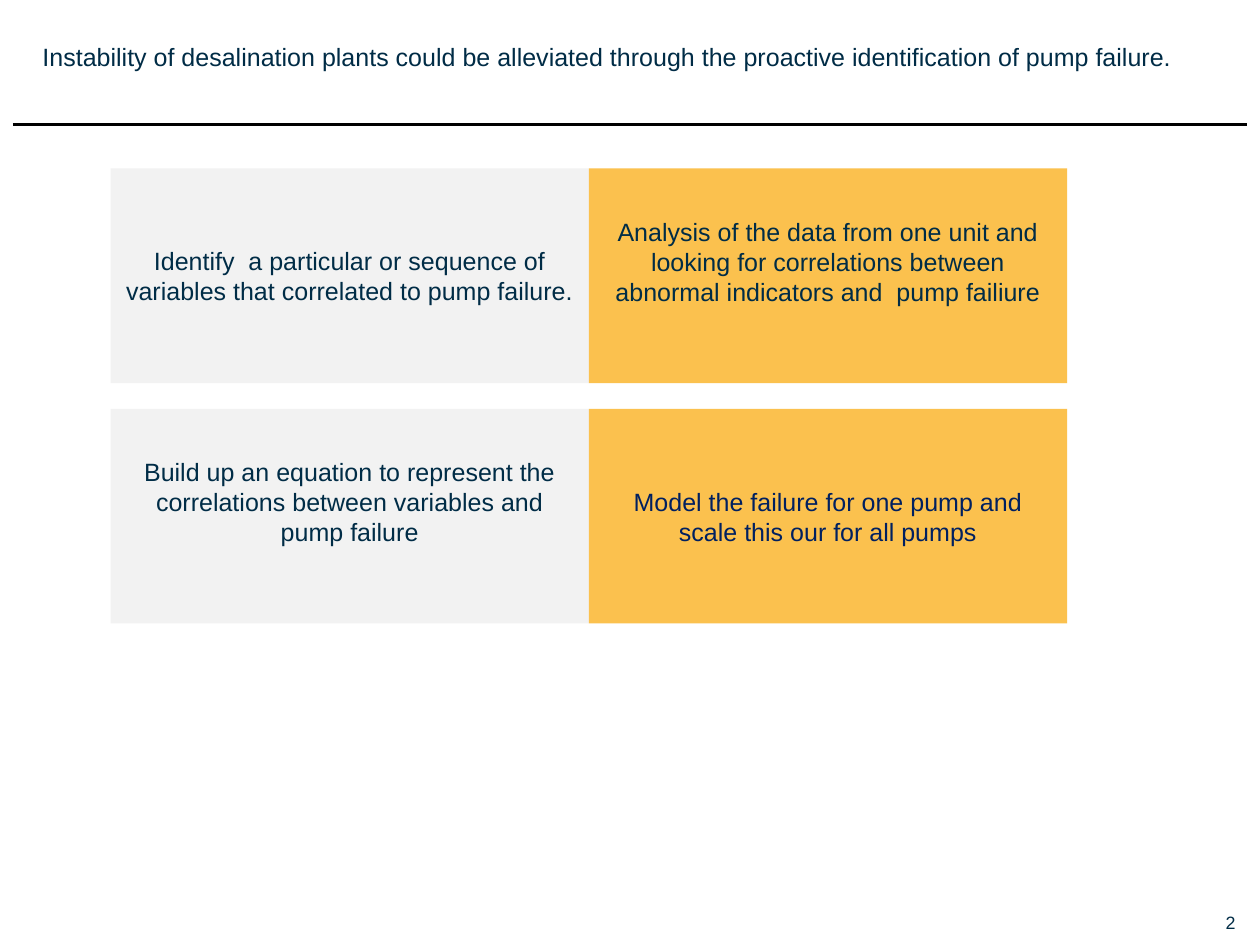
from dataclasses import dataclass

from pptx import Presentation
from pptx import util as u
from pptx.dml.color import RGBColor
from pptx.enum import shapes, text
from pptx.oxml.ns import qn
from lxml import etree


@dataclass(frozen=True)
class Theme:
    font: str = "Arial"
    ink: str = "002C46"
    navy: str = "002060"
    rule: str = "000000"
    grey: str = "F2F2F2"
    amber: str = "FBC14E"
    body_size: int = 14
    number_size: int = 10


THEME = Theme()

# Grid of steps
GRID_LEFT, GRID_TOP = 0.86, 1.31
BOX_WIDTH, BOX_HEIGHT, ROW_GAP = 3.72, 1.67, 0.2
COLUMN_FILLS = (THEME.grey, THEME.amber)
MARGIN, RAISED_MARGIN = 0.05, 0.27

# Wording, text colour and bottom margin of each step, row by row
STEPS = [
    [("Identify  a particular or sequence of variables that correlated to pump failure.",
      THEME.ink, MARGIN),
     ("Analysis of the data from one unit and looking for correlations between "
      "abnormal indicators and  pump failiure", THEME.ink, RAISED_MARGIN)],
    [("Build up an equation to represent the correlations between variables and "
      "pump failure", THEME.ink, RAISED_MARGIN),
     ("Model the failure for one pump and scale this our for all pumps",
      THEME.navy, MARGIN)],
]


def write_text(shape, wording, *, size=THEME.body_size, color=THEME.ink,
               align=text.PP_ALIGN.LEFT, margins=(0.1, MARGIN, 0.1, MARGIN)):
    frame = shape.text_frame
    frame.word_wrap = True
    frame.auto_size = text.MSO_AUTO_SIZE.NONE
    frame.vertical_anchor = text.MSO_ANCHOR.MIDDLE
    (frame.margin_left, frame.margin_top,
     frame.margin_right, frame.margin_bottom) = map(u.Inches, margins)
    paragraph = frame.paragraphs[0]
    paragraph.alignment = align
    paragraph.line_spacing = 1.0
    run = paragraph.add_run()
    run.text = wording
    run.font.name = THEME.font
    run.font.size = u.Pt(size)
    run.font.color.rgb = RGBColor.from_string(color)


def place_title(slide, wording):
    title = slide.shapes.title
    title.left, title.top = u.Inches(0.23), u.Inches(0.27)
    title.width, title.height = u.Inches(9.33), u.Inches(0.34)
    write_text(title, wording)


def add_rule(slide, left, right, top):
    rule = slide.shapes.add_connector(
        shapes.MSO_CONNECTOR.STRAIGHT,
        u.Inches(left), u.Inches(top), u.Inches(right), u.Inches(top))
    rule.line.color.rgb = RGBColor.from_string(THEME.rule)
    rule.line.width = u.Pt(2)
    etree.SubElement(rule._element.spPr, qn("a:effectLst"))


def add_step(slide, row, column, wording, color, bottom_margin):
    step = slide.shapes.add_shape(
        shapes.MSO_SHAPE.RECTANGLE,
        u.Inches(GRID_LEFT + column * BOX_WIDTH),
        u.Inches(GRID_TOP + row * (BOX_HEIGHT + ROW_GAP)),
        u.Inches(BOX_WIDTH), u.Inches(BOX_HEIGHT))
    step.shadow.inherit = False
    step.fill.solid()
    step.fill.fore_color.rgb = RGBColor.from_string(COLUMN_FILLS[column])
    step.line.fill.background()
    write_text(step, wording, color=color, align=text.PP_ALIGN.CENTER,
               margins=(0.1, MARGIN, 0.1, bottom_margin))


def add_page_number(slide, number):
    box = slide.shapes.add_textbox(
        u.Inches(9.44), u.Inches(7.09), u.Inches(0.17), u.Inches(0.17))
    write_text(box, number, size=THEME.number_size,
               align=text.PP_ALIGN.RIGHT, margins=(0, 0, 0, 0))


def main():
    presentation = Presentation()
    presentation.slide_width = u.Inches(9.8)
    presentation.slide_height = u.Inches(7.35)
    slide = presentation.slides.add_slide(presentation.slide_layouts[5])

    # Heading
    place_title(slide, "Instability of desalination plants could be alleviated "
                       "through the proactive identification of pump failure.")
    add_rule(slide, 0.1, 9.7, 0.97)

    # Steps
    for row, steps in enumerate(STEPS):
        for column, step in enumerate(steps):
            add_step(slide, row, column, *step)

    # Footer
    add_page_number(slide, "2")
    presentation.save("out.pptx")


if __name__ == "__main__":
    main()
